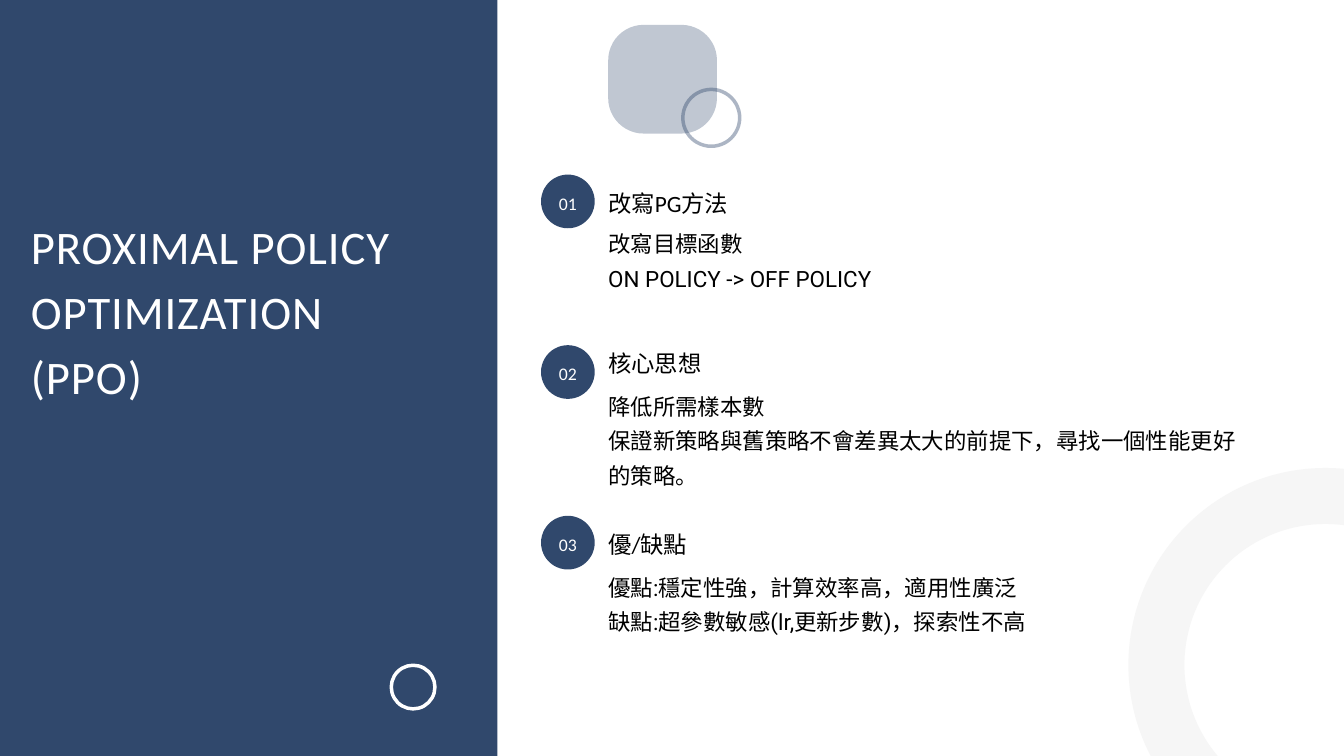
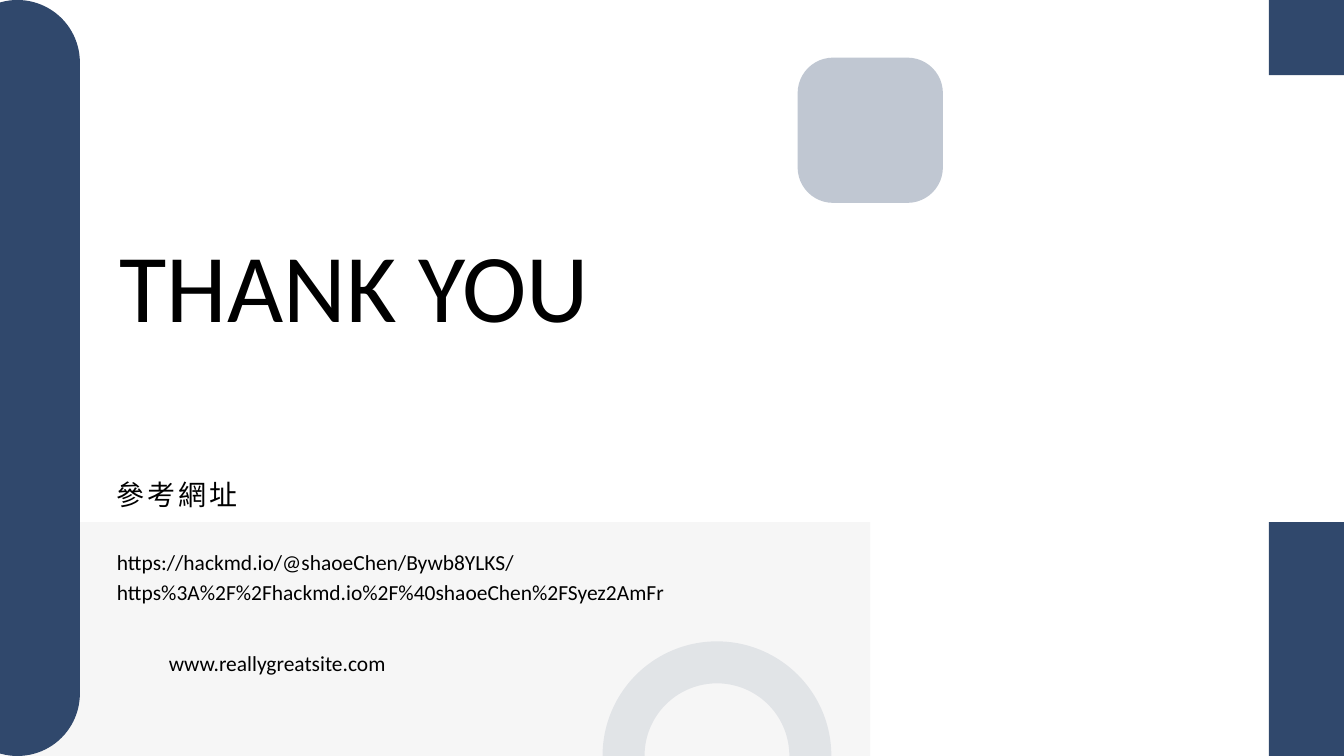
from lxml.etree import SubElement
from pptx import Presentation
from pptx.dml.color import RGBColor
from pptx.enum.shapes import MSO_SHAPE as Preset
from pptx.enum.text import MSO_ANCHOR as Anchor, MSO_AUTO_SIZE as AutoSize, PP_ALIGN as Align
from pptx.oxml.ns import qn
from pptx.util import Cm, Pt

COLORS = {"navy": "30486C", "grey": "F6F6F6", "white": "FFFFFF", "black": "000000"}
FONT, BODY_FONT = "Calibri", "Roboto"
PAGE_WIDTH, PAGE_HEIGHT = 50.8, 28.58

BADGE_LEFT, BADGE_TOP, BADGE_STEP, BADGE_SIZE = 20.45, 6.6, 6.45, 2.03
TEXT_LEFT = 22.99
BODY_LINE = 1.27

# Heading top, heading, body top, body lines with their fonts
TOPICS = [
    (6.96, "改寫PG方法", 8.41,
     [("改寫目標函數", FONT), ("ON POLICY -> OFF POLICY", BODY_FONT)]),
    (13.03, "核心思想", 14.55,
     [("降低所需樣本數", FONT),
      ("保證新策略與舊策略不會差異太大的前提下，尋找一個性能更好", FONT),
      ("的策略。", FONT)]),
    (19.86, "優/缺點", 21.39,
     [("優點:穩定性強，計算效率高，適用性廣泛", BODY_FONT),
      ("缺點:超參數敏感(lr,更新步數)，探索性不高", BODY_FONT)]),
]


def color(name):
    return RGBColor.from_string(COLORS[name])


def set_opacity(shape, percent):
    for tint in shape.element.spPr.iter(qn("a:srgbClr")):
        SubElement(tint, qn("a:alpha"), val=str(percent * 1000))


def add_block(page, preset, left, top, width, height, fill="navy"):
    block = page.shapes.add_shape(preset, Cm(left), Cm(top), Cm(width), Cm(height))
    block.shadow.inherit = False
    block.fill.solid()
    block.fill.fore_color.rgb = color(fill)
    block.line.fill.background()
    return block


def add_ring(page, left, top, size, line_color, line_width, opacity=100):
    ring = add_block(page, Preset.OVAL, left, top, size, size)
    ring.fill.background()
    ring.line.color.rgb = color(line_color)
    ring.line.width = Pt(line_width)
    if opacity < 100:
        set_opacity(ring, opacity)


def add_soft_square(page, left, top, size):
    """Add the translucent square whose corner radius is the same on every slide."""
    square = add_block(page, Preset.ROUNDED_RECTANGLE, left, top, size, size)
    square.adjustments[0] = 1.34 / size
    set_opacity(square, 30)


def write_lines(frame, lines, size, spacing, ink="black", align=Align.LEFT, tracking=0):
    """Write (text, font) pairs as paragraphs; sizes and spacing are in points."""
    frame.margin_left = frame.margin_right = frame.margin_top = frame.margin_bottom = 0
    for index, (text, font) in enumerate(lines):
        para = frame.add_paragraph() if index else frame.paragraphs[0]
        para.alignment = align
        para.line_spacing = Pt(spacing)
        span = para.add_run()
        span.text = text
        span.font.name = font
        span.font.size = Pt(size)
        span.font.color.rgb = color(ink)
        if tracking:
            span.font._element.set("spc", str(tracking * 100))


def add_text(page, left, top, width, height, lines, size, spacing, **style):
    box = page.shapes.add_textbox(Cm(left), Cm(top), Cm(width), Cm(height))
    frame = box.text_frame
    frame.word_wrap = True
    frame.auto_size = AutoSize.SHAPE_TO_FIT_TEXT
    write_lines(frame, lines, size, spacing, **style)


def add_badge(page, number):
    top = BADGE_TOP + (number - 1) * BADGE_STEP
    badge = add_block(page, Preset.OVAL, BADGE_LEFT, top, BADGE_SIZE, BADGE_SIZE)
    badge.text_frame.vertical_anchor = Anchor.MIDDLE
    badge.text_frame.word_wrap = False
    write_lines(badge.text_frame, [(f"{number:02}", FONT)], 19, 26.6,
                ink="white", align=Align.CENTER)


def add_topic(page, number, heading_top, heading, body_top, body):
    add_badge(page, number)
    add_text(page, TEXT_LEFT, heading_top, 15.29, 1.17, [(heading, FONT)], 25, 35)
    add_text(page, TEXT_LEFT, body_top, 25.91, BODY_LINE * len(body), body, 24, 37.2,
             align=Align.JUSTIFY)


def build_policy_slide(page):
    add_block(page, Preset.RECTANGLE, 0, 0, 18.8, PAGE_HEIGHT)
    add_ring(page, 43.71, 18.75, 12.78, "grey", 60)
    add_soft_square(page, TEXT_LEFT, 0.94, 4.11)
    add_ring(page, 25.81, 3.38, 2.15, "navy", 3.75, opacity=40)
    add_ring(page, 14.79, 25.15, 1.65, "white", 3.75)
    title = [("PROXIMAL POLICY OPTIMIZATION", FONT), ("(PPO)", FONT)]
    add_text(page, 1.17, 7.87, 16.48, 9.75, title, 50, 70, ink="white", tracking=1)
    for number, topic in enumerate(TOPICS, 1):
        add_topic(page, number, *topic)


def build_closing_slide(page):
    edge, band_top = 2.84, 19.74
    band_height = PAGE_HEIGHT - band_top
    add_block(page, Preset.RECTANGLE, PAGE_WIDTH - edge, band_top, edge, band_height)
    add_block(page, Preset.RECTANGLE, 0, band_top, 32.89, band_height, "grey")
    add_block(page, Preset.RECTANGLE, PAGE_WIDTH - edge, 0, edge, edge)
    side_bar = add_block(page, Preset.ROUNDED_RECTANGLE, -1.7, 0, 4.72, PAGE_HEIGHT)
    side_bar.adjustments[0] = 0.5
    add_soft_square(page, 30.15, 2.18, 5.49)
    add_text(page, 4.42, 17.83, 24.36, 1.37, [("參考網址", FONT)], 30, 42, tracking=3)
    links = "https://hackmd.io/@shaoeChen/Bywb8YLKS/https%3A%2F%2Fhackmd.io%2F%40shaoeChen%2FSyez2AmFr"
    add_text(page, 4.42, 20.6, 25.73, 2.18, [(links, FONT)], 23, 32.2)
    add_text(page, 6.38, 24.43, 14.17, 1.09, [("www.reallygreatsite.com", FONT)], 23, 32.2)
    add_text(page, 4.52, 8.71, 24.43, 4.24, [("THANK YOU", FONT)], 104, 119.6)
    add_ring(page, 23.57, 25.04, 7.06, "navy", 45, opacity=10)


def main():
    deck = Presentation()
    deck.slide_width, deck.slide_height = Cm(PAGE_WIDTH), Cm(PAGE_HEIGHT)
    for build in (build_policy_slide, build_closing_slide):
        page = deck.slides.add_slide(deck.slide_layouts[6])
        page.background.fill.solid()
        page.background.fill.fore_color.rgb = color("white")
        build(page)
    deck.save("out.pptx")


if __name__ == "__main__":
    main()
